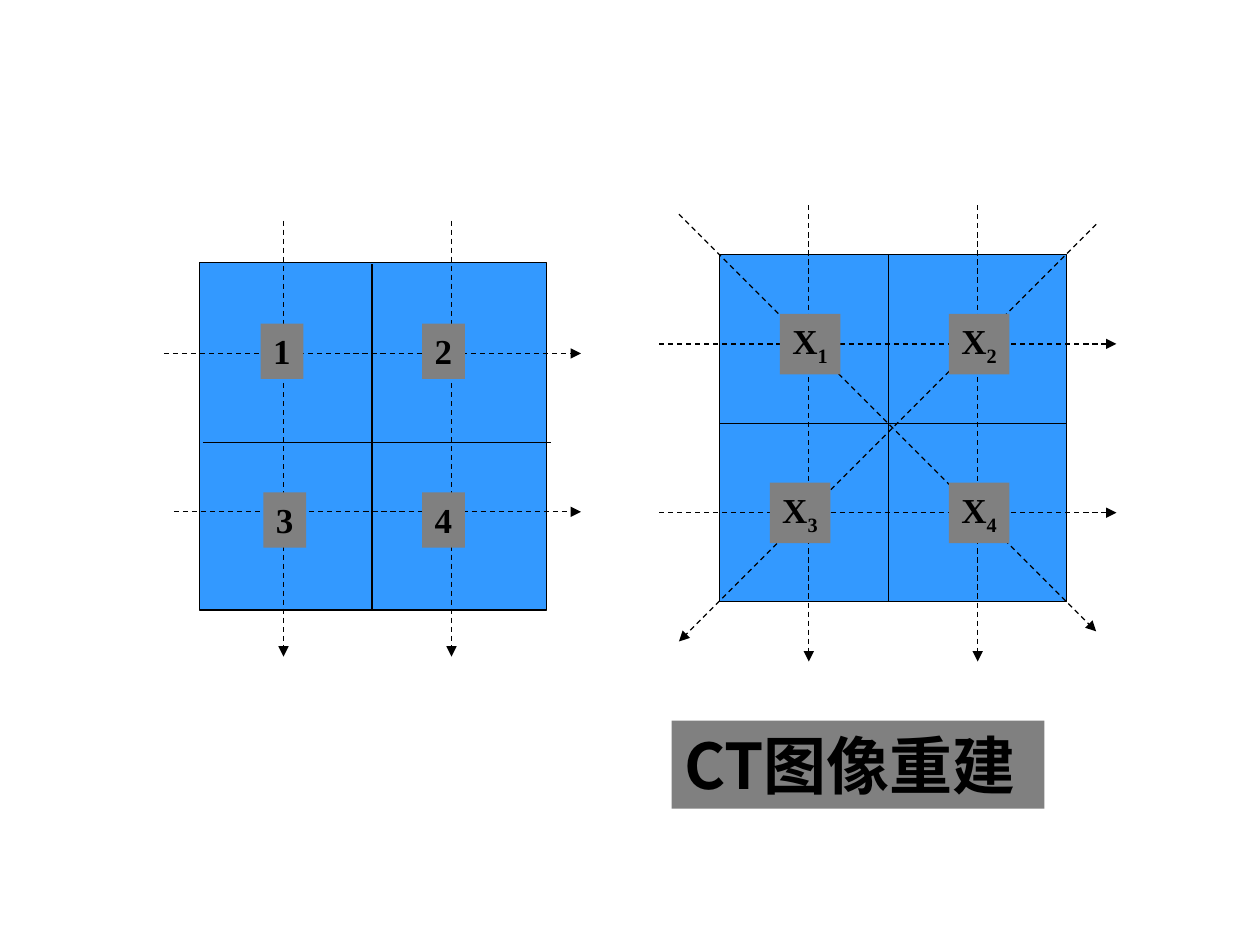
import lxml.etree
import pptx
import pptx.dml.color
import pptx.enum.dml
import pptx.enum.shapes
import pptx.enum.text
import pptx.oxml.ns
import pptx.util

Pt = pptx.util.Pt
qn = pptx.oxml.ns.qn
RGB = pptx.dml.color.RGBColor.from_string
RECT = pptx.enum.shapes.MSO_SHAPE.RECTANGLE
COLORS = {"cell": "3399FF", "label": "808080", "ink": "000000"}
ROMAN, SANS = "Times New Roman", "Noto Sans CJK SC"

deck = pptx.Presentation()
deck.slide_width, deck.slide_height = Pt(720), Pt(540)
slide = deck.slides.add_slide(deck.slide_layouts[6])


def draw_line(x1, y1, x2, y2, ray=True):
    """Draw a dashed arrow, or a plain solid line when ray is False."""
    wire = slide.shapes.add_connector(
        pptx.enum.shapes.MSO_CONNECTOR.STRAIGHT, Pt(x1), Pt(y1), Pt(x2), Pt(y2))
    wire.line.color.rgb = RGB(COLORS["ink"])
    wire.line.width = Pt(0.75)
    if ray:
        wire.line.dash_style = pptx.enum.dml.MSO_LINE.DASH
        lxml.etree.SubElement(wire.line._ln, qn("a:tailEnd"), type="triangle")
    lxml.etree.SubElement(wire._element.spPr, qn("a:effectLst"))


def add_label(x, y, wide, high, text, size, face, sub=""):
    """Add a grey text label, with an optional subscript."""
    box = slide.shapes.add_textbox(Pt(x), Pt(y), Pt(wide), Pt(high))
    box.fill.solid()
    box.fill.fore_color.rgb = RGB(COLORS["label"])
    frame = box.text_frame
    frame.word_wrap = False
    frame.auto_size = pptx.enum.text.MSO_AUTO_SIZE.SHAPE_TO_FIT_TEXT
    for part, base in ((text, None), (sub, "-25000")):
        if not part:
            continue
        run = frame.paragraphs[0].add_run()
        run.text = part
        run.font.size = Pt(size)
        run.font.bold = True
        run.font.name = face
        run.font.color.rgb = RGB(COLORS["ink"])
        props = run._r.get_or_add_rPr()
        lxml.etree.SubElement(props, qn("a:ea"), typeface=face)
        if base:
            props.set("baseline", base)


grids = [
    {"at": (411, 145.4),
     "walls": [(411, 241.9, 609.2, 241.9), (507.6, 145.4, 507.6, 343.6)],
     "rays": [(388, 122.4, 626.4, 360.8), (626.4, 128.2, 388, 366.6)]
     + [(376.6, y, 638, y) for y in (196.5, 293)]
     + [(x, 117.3, x, 378) for x in (462.2, 558.7)],
     "size": (34.6, 34.6), "text": "X",
     "spots": [(445.7, 179.3), (542.2, 179.3), (439.9, 275.8), (542.2, 275.8)]},
    {"at": (113.8, 150),
     "walls": [(116, 252.8, 314.6, 252.8), (212.6, 151, 212.6, 349.2)],
     "rays": [(x, 126, x, 375.2) for x in (162, 258)]
     + [(x, y, 332, y) for x, y in ((93.6, 202), (99.3, 292.5))],
     "size": (24.4, 31.6), "text": "",
     "spots": [(149, 185), (241.2, 185), (150.5, 281.4), (241.2, 281.4)]},
]

for grid in grids:
    left, top = grid["at"]
    square = slide.shapes.add_shape(RECT, Pt(left), Pt(top), Pt(198.5), Pt(198.5))
    square.shadow.inherit = False
    square.fill.solid()
    square.fill.fore_color.rgb = RGB(COLORS["cell"])
    square.line.color.rgb = RGB(COLORS["ink"])
    square.line.width = Pt(0.75)
    for wall in grid["walls"]:
        draw_line(*wall, ray=False)
    for ray in grid["rays"]:
        draw_line(*ray)
    for count, (x, y) in enumerate(grid["spots"], 1):
        if grid["text"]:
            add_label(x, y, *grid["size"], grid["text"], 20, ROMAN, str(count))
        else:
            add_label(x, y, *grid["size"], str(count), 20, ROMAN)

add_label(383.8, 411.8, 213, 50.4, "CT图像重建", 36, SANS)

deck.save("out.pptx")
